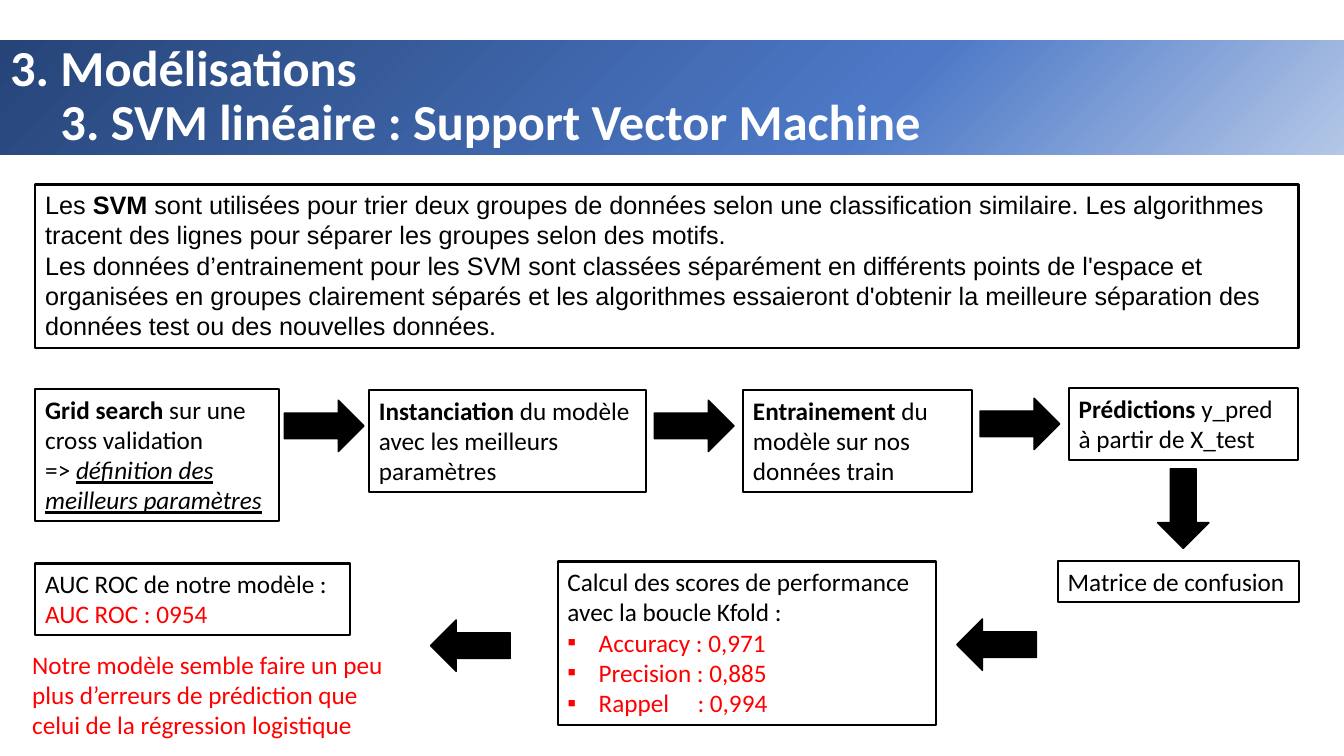
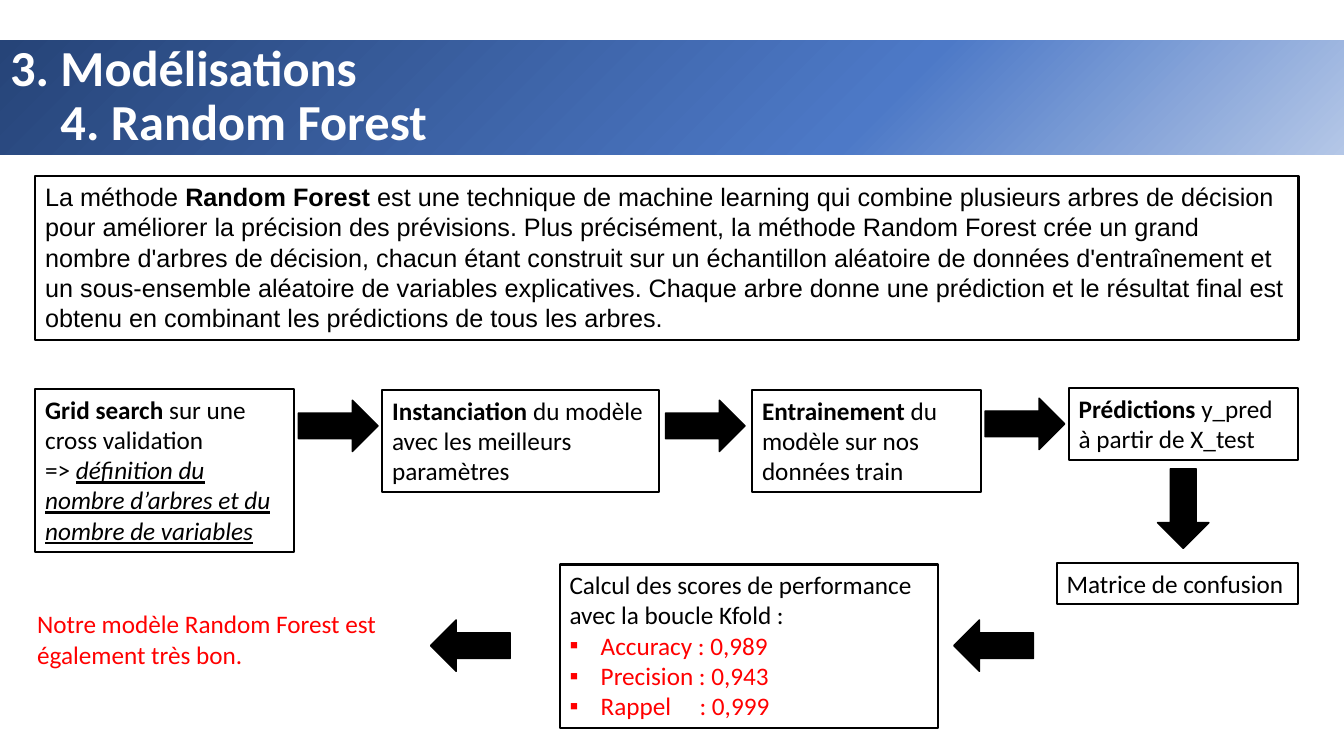
from pptx import Presentation
from pptx.dml.color import RGBColor
from pptx.enum.shapes import MSO_SHAPE
from pptx.enum.text import MSO_ANCHOR, MSO_AUTO_SIZE, PP_ALIGN
from pptx.oxml import parse_xml
from pptx.oxml.ns import nsdecls, qn
from pptx.util import Emu, Pt

RECTANGLE = MSO_SHAPE.RECTANGLE
RIGHT_ARROW = MSO_SHAPE.RIGHT_ARROW
LEFT = PP_ALIGN.LEFT
TOP = MSO_ANCHOR.TOP
MIDDLE = MSO_ANCHOR.MIDDLE
FIT_SHAPE = MSO_AUTO_SIZE.SHAPE_TO_FIT_TEXT
NO_FIT = MSO_AUTO_SIZE.NONE

EMU_PER_PX = 9144
SLIDE_WIDTH, SLIDE_HEIGHT = 1333, 750
ARROW_WIDTH, ARROW_HEIGHT = 79, 51
ARROW_DROP = 10
MARGIN_LEFT = 35
BULLET_INDENT = 31
SCORE_TAB = 129
TITLE_LAYOUT = 5

BLACK, WHITE, RED = "000000", "FFFFFF", "FF0000"
BAND_STOPS = [(0, "B4C7E7"), (35, "4D79C7"), (100, "264478")]
BODY_FONT, INTRO_FONT = "Calibri", "Arial"


def px(length):
    """Turn a length in px into EMU."""
    return Emu(length * EMU_PER_PX)


def color(hex_string):
    """Turn a hex string into a colour."""
    return RGBColor.from_string(hex_string)


def style_font(font, name, size, hex_string):
    """Set the face, size and colour of a font."""
    font.name = name
    font.size = Pt(size)
    font.color.rgb = color(hex_string)


def add_bullet(paragraph):
    """Give a paragraph a square bullet, a hanging indent and a tab stop."""
    properties = paragraph._p.get_or_add_pPr()
    properties.set("marL", str(px(BULLET_INDENT)))
    properties.set("indent", str(-px(BULLET_INDENT)))
    for markup in (
        f'<a:buFont {nsdecls("a")} typeface="Arial"/>',
        f'<a:buChar {nsdecls("a")} char="▪"/>',
        f'<a:tabLst {nsdecls("a")}><a:tab pos="{px(SCORE_TAB)}" algn="l"/></a:tabLst>',
    ):
        properties.append(parse_xml(markup))


def write_text(shape, paragraphs, font_name=BODY_FONT):
    """Write (runs, colour, bulleted) paragraphs; a run is (text, style letters)."""
    frame = shape.text_frame
    frame.word_wrap = True
    frame.auto_size = FIT_SHAPE
    frame.vertical_anchor = TOP
    for index, (runs, hex_string, bulleted) in enumerate(paragraphs):
        paragraph = frame.add_paragraph() if index else frame.paragraphs[0]
        paragraph.alignment = LEFT
        if bulleted:
            add_bullet(paragraph)
        style_font(paragraph.font, font_name, 18, hex_string)
        for text, style in runs:
            run = paragraph.add_run()
            run.text = text
            if "b" in style:
                run.font.bold = True
            if "i" in style:
                run.font.italic = True
            if "u" in style:
                run.font.underline = True


def plain(text, hex_string=BLACK, bulleted=False):
    """Describe a paragraph of one unstyled run."""
    return [(text, "")], hex_string, bulleted


def rich(*runs):
    """Describe a black paragraph of several runs."""
    return runs, BLACK, False


def add_box(slide, bounds, paragraphs, font_name=BODY_FONT):
    """Add an outlined text rectangle."""
    box = slide.shapes.add_shape(RECTANGLE, *map(px, bounds))
    box.shadow.inherit = False
    box.fill.background()
    box.line.color.rgb = color(BLACK)
    box.line.width = Pt(1.5)
    write_text(box, paragraphs, font_name)


def add_note(slide, bounds, text):
    """Add a red remark without outline."""
    note = slide.shapes.add_textbox(*map(px, bounds))
    write_text(note, [plain(text, RED)])


def add_arrow(slide, left, top, rotation=0):
    """Add a black block arrow."""
    arrow = slide.shapes.add_shape(
        RIGHT_ARROW, px(left), px(top), px(ARROW_WIDTH), px(ARROW_HEIGHT))
    arrow.rotation = rotation
    arrow.shadow.inherit = False
    arrow.fill.solid()
    arrow.fill.fore_color.rgb = color(BLACK)
    arrow.line.color.rgb = color(BLACK)
    arrow.line.width = Pt(1)


def fill_band(shape):
    """Fill a shape with the radial blue gradient."""
    shape.fill.gradient()
    stops = "".join(
        f'<a:gs pos="{position * 1000}"><a:srgbClr val="{hex_string}"/></a:gs>'
        for position, hex_string in BAND_STOPS)
    gradient = parse_xml(
        f'<a:gradFill {nsdecls("a")} rotWithShape="1"><a:gsLst>{stops}</a:gsLst>'
        '<a:path path="circle"><a:fillToRect l="100000" t="100000"/></a:path>'
        '</a:gradFill>')
    properties = shape._element.spPr
    properties.replace(properties.find(qn("a:gradFill")), gradient)


def add_titled_slide(presentation, subtitle):
    """Add a slide whose title is the gradient band."""
    slide = presentation.slides.add_slide(presentation.slide_layouts[TITLE_LAYOUT])
    title = slide.shapes.title
    title.left, title.top = px(0), px(40)
    title.width, title.height = px(SLIDE_WIDTH), px(113)
    fill_band(title)
    frame = title.text_frame
    frame.text = f"3. Modélisations\v\t{subtitle}"
    frame.word_wrap = True
    frame.auto_size = NO_FIT
    frame.vertical_anchor = MIDDLE
    paragraph = frame.paragraphs[0]
    paragraph.alignment = LEFT
    paragraph.line_spacing = 0.9
    style_font(paragraph.font, BODY_FONT, 36, WHITE)
    paragraph.font.bold = True
    return slide


def add_intro(slide, top, paragraphs):
    """Add the full-width explanation of the method."""
    add_box(slide, (MARGIN_LEFT, top, 1253, 162), paragraphs, INTRO_FONT)


def add_steps(slide, search_goal, search_size, setup_left, training_left):
    """Add the four modelling steps, with an arrow centred in each gap."""
    search_width, search_height = search_size
    steps = [
        ((MARGIN_LEFT, 386, search_width, search_height),
         [rich(("Grid search ", "b"), ("sur une cross validation", "")),
          rich(("=> ", ""), (search_goal, "iu"))]),
        ((setup_left, 387, 275, 101),
         [rich(("Instanciation", "b"), (" du modèle avec les meilleurs paramètres", ""))]),
        ((training_left, 387, 227, 101),
         [rich(("Entrainement", "b"), (" du modèle sur nos données train", ""))]),
        ((1060, 385, 227, 71),
         [rich(("Prédictions", "b"), (" y_pred à partir de X_test", ""))]),
    ]
    previous_right = None
    for bounds, paragraphs in steps:
        left, top, width, _ = bounds
        if previous_right is not None:
            add_arrow(slide, (previous_right + left - ARROW_WIDTH) // 2, top + ARROW_DROP)
        add_box(slide, bounds, paragraphs)
        previous_right = left + width
    add_arrow(slide, 1134, 479, 90)


def add_results(slide, matrix_position, scores_position, scores, arrow_position):
    """Add the confusion matrix and score boxes with their arrows."""
    add_box(slide, (*matrix_position, 239, 40), [plain("Matrice de confusion")])
    add_arrow(slide, *arrow_position, 180)
    labels = ("Accuracy : ", "Precision : ", "Rappel\t: ")
    add_box(
        slide, (*scores_position, 375, 162),
        [plain("Calcul des scores de performance avec la boucle Kfold :")]
        + [plain(label + score, RED, True) for label, score in zip(labels, scores)])
    add_arrow(slide, 427, 615, 180)


def build_svm(presentation):
    """Build the linear SVM slide."""
    slide = add_titled_slide(presentation, "3. SVM linéaire : Support Vector Machine")
    add_intro(slide, 183, [
        rich(("Les ", ""), ("SVM ", "b"),
             ("sont utilisées pour trier deux groupes de données selon une "
              "classification similaire. Les algorithmes tracent des lignes pour "
              "séparer les groupes selon des motifs.", "")),
        plain("Les données d’entrainement pour les SVM sont classées séparément en "
              "différents points de l'espace et organisées en groupes clairement "
              "séparés et les algorithmes essaieront d'obtenir la meilleure "
              "séparation des données test ou des nouvelles données."),
    ])
    add_steps(slide, "définition des meilleurs paramètres", (242, 131), 366, 737)
    add_results(slide, (1049, 557), (553, 557), ("0,971", "0,885", "0,994"), (949, 614))
    add_box(slide, (MARGIN_LEFT, 559, 312, 71),
            [plain("AUC ROC de notre modèle :"), plain("AUC ROC : 0954", RED)])
    add_note(slide, (22, 639, 385, 101),
             "Notre modèle semble faire un peu plus d’erreurs de prédiction que "
             "celui de la régression logistique")


def build_random_forest(presentation):
    """Build the Random Forest slide."""
    slide = add_titled_slide(presentation, "4. Random Forest")
    add_intro(slide, 175, [
        rich(("La méthode ", ""), ("Random Forest ", "b"),
             ("est une technique de machine learning qui combine plusieurs arbres "
              "de décision pour améliorer la précision des prévisions. Plus "
              "précisément, la méthode Random Forest crée un grand nombre d'arbres "
              "de décision, chacun étant construit sur un échantillon aléatoire de "
              "données d'entraînement et un sous-ensemble aléatoire de variables "
              "explicatives. Chaque arbre donne une prédiction et le résultat final "
              "est obtenu en combinant les prédictions de tous les arbres.", "")),
    ])
    add_steps(slide, "définition du nombre d’arbres et du nombre de variables",
              (257, 162), 379, 746)
    add_results(slide, (1048, 559), (555, 560), ("0,989", "0,943", "0,999"), (946, 615))
    add_note(slide, (27, 599, 385, 71),
             "Notre modèle Random Forest est également très bon.")


def main():
    """Build and save the presentation."""
    presentation = Presentation()
    presentation.slide_width = px(SLIDE_WIDTH)
    presentation.slide_height = px(SLIDE_HEIGHT)
    build_svm(presentation)
    build_random_forest(presentation)
    presentation.save("out.pptx")


if __name__ == "__main__":
    main()
